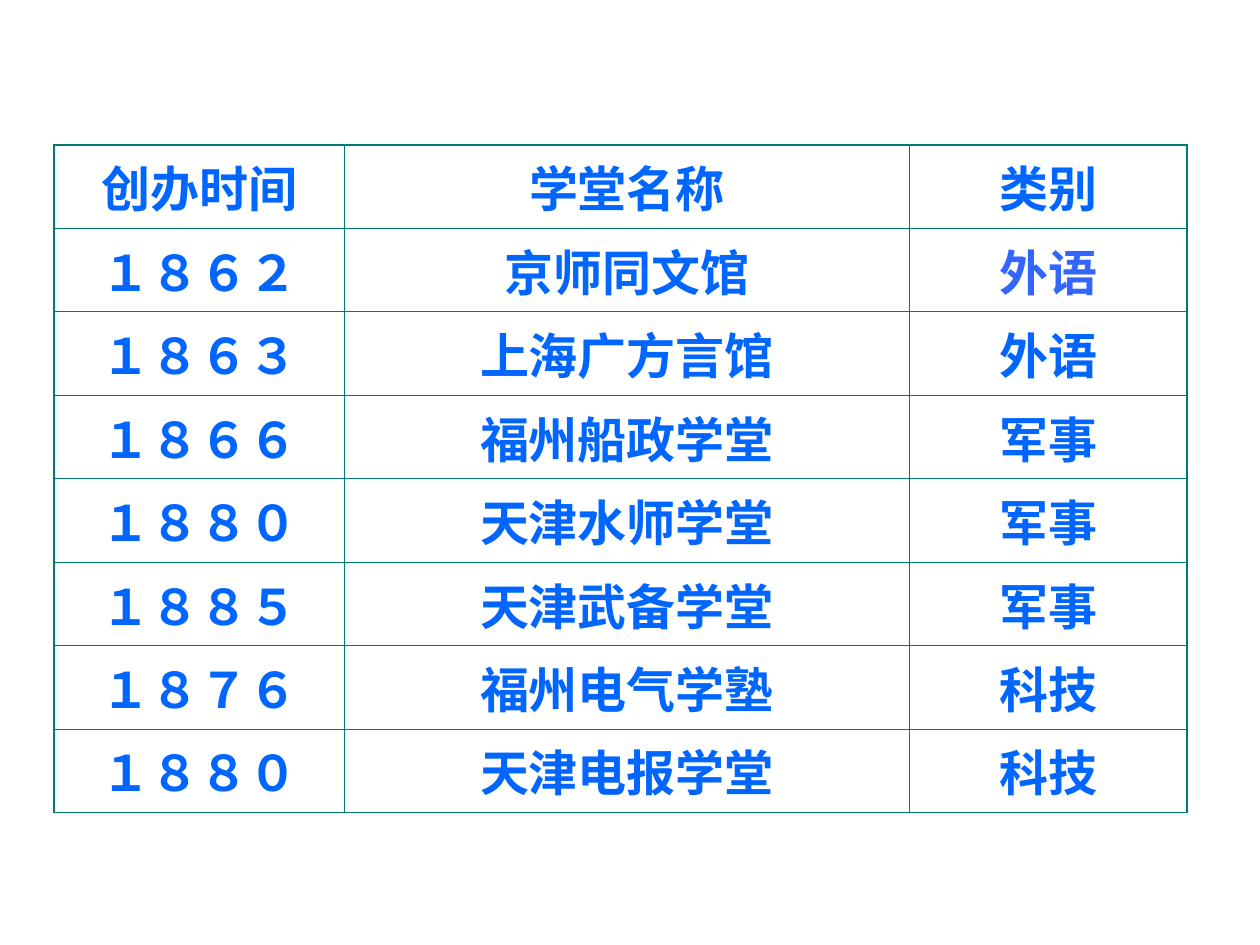
from lxml import etree
from pptx import Presentation
from pptx.dml.color import RGBColor
from pptx.enum.text import PP_ALIGN
from pptx.oxml.ns import qn
from pptx.util import Inches, Pt

CENTER = PP_ALIGN.CENTER
BLUE, LIGHT_BLUE, GREEN, WHITE = "0066FF", "3366FF", "007A77", "FFFFFF"
THIN, THICK = 0.45, 1.08
COLUMN_WIDTHS = (2.3, 4.49, 2.2)
ROW_HEIGHT = 0.66

SCHOOLS = [
    ("创办时间", "学堂名称", "类别"),
    ("１８６２", "京师同文馆", "外语"),
    ("１８６３", "上海广方言馆", "外语"),
    ("１８６６", "福州船政学堂", "军事"),
    ("１８８０", "天津水师学堂", "军事"),
    ("１８８５", "天津武备学堂", "军事"),
    ("１８７６", "福州电气学塾", "科技"),
    ("１８８０", "天津电报学堂", "科技"),
]
TEXT_COLORS = {(1, 2): LIGHT_BLUE}


def rgb(color):
    return RGBColor.from_string(color)


def set_borders(cell, widths):
    """Draw the borders, given as side letter to width in points."""
    tcPr = cell._tc.get_or_add_tcPr()
    for side, width in widths.items():
        ln = etree.SubElement(tcPr, qn("a:ln" + side), w=str(Pt(width)))
        fill = etree.SubElement(ln, qn("a:solidFill"))
        etree.SubElement(fill, qn("a:srgbClr"), val=GREEN)


def fill_cell(cell, text, color):
    cell.fill.solid()
    cell.fill.fore_color.rgb = rgb(WHITE)
    p = cell.text_frame.paragraphs[0]
    p.alignment = CENTER
    p.space_before = Pt(7)
    r = p.add_run()
    r.text = text
    r.font.name = "Arial"
    r.font.size = Pt(28)
    r.font.bold = True
    r.font.color.rgb = rgb(color)


def add_school_table(slide, left, top, rows):
    """Place the table with a thick outer frame and thin inner rules."""
    last_row, last_col = len(rows) - 1, len(COLUMN_WIDTHS) - 1
    table = slide.shapes.add_table(
        len(rows), len(COLUMN_WIDTHS), Inches(left), Inches(top),
        Inches(sum(COLUMN_WIDTHS)), Inches(ROW_HEIGHT * len(rows))).table
    table.first_row = table.horz_banding = False
    for column, width in zip(table.columns, COLUMN_WIDTHS):
        column.width = Inches(width)
    for i, row in enumerate(rows):
        table.rows[i].height = Inches(ROW_HEIGHT)
        for j, text in enumerate(row):
            cell = table.cell(i, j)
            on_frame = {"L": j == 0, "R": j == last_col,
                        "T": i == 0, "B": i == last_row}
            set_borders(cell, {side: THICK if outer else THIN
                               for side, outer in on_frame.items()})
            fill_cell(cell, text, TEXT_COLORS.get((i, j), BLUE))


def main():
    prs = Presentation()
    prs.slide_width, prs.slide_height = Inches(10), Inches(7.5)
    slide = prs.slides.add_slide(prs.slide_layouts[6])
    add_school_table(slide, 0.43, 1.15, SCHOOLS)
    prs.save("out.pptx")


if __name__ == "__main__":
    main()
